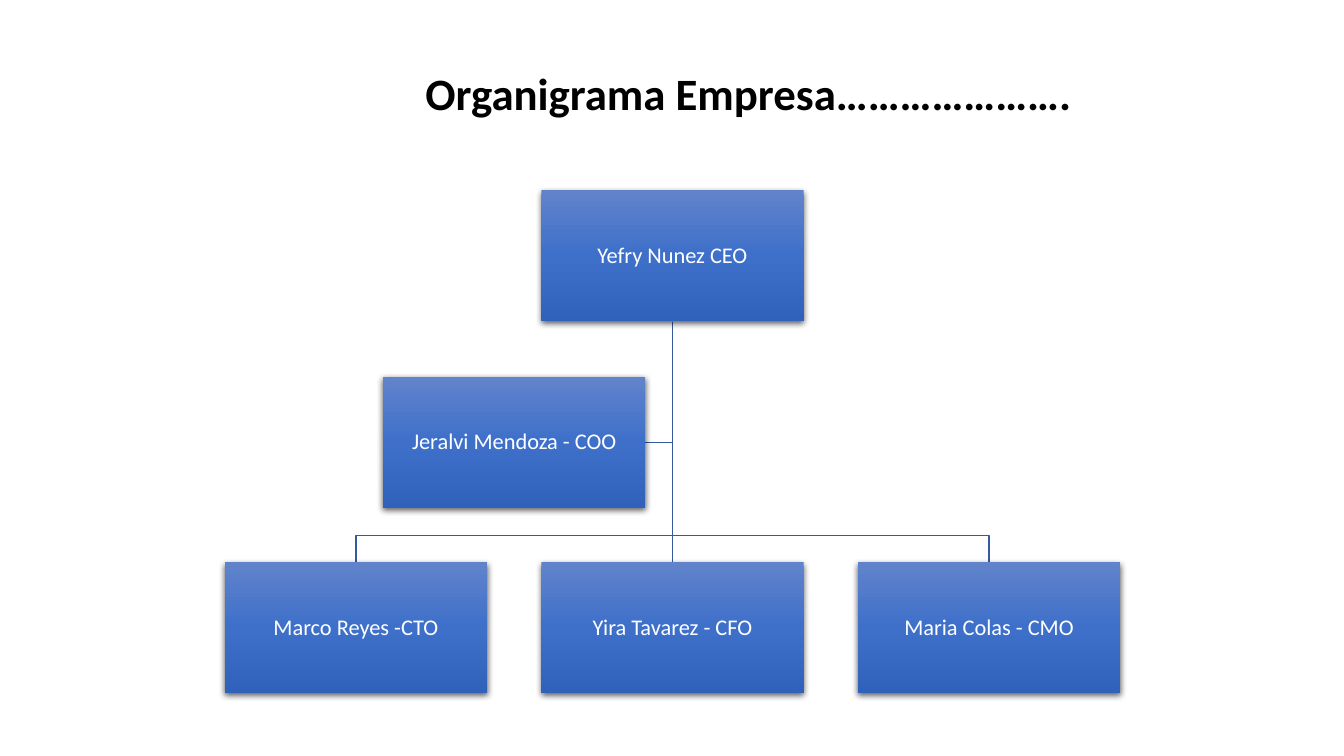
import copy

import pptx
import pptx.dml.color
import pptx.enum.shapes
import pptx.enum.text
import pptx.oxml
import pptx.oxml.ns
import pptx.util
from pptx.util import Inches

RGB = pptx.dml.color.RGBColor.from_string
THEME = {
    "font": "Calibri",
    "title_size": 32,
    "box_size": 16,
    "title": "000000",
    "box_text": "FFFFFF",
    "line": "365B9D",
    "gradient": [(0, "6183CB"), (0.5, "3E70CA"), (1, "3062BB")],
}
SHADOW = (
    f'<a:outerShdw {pptx.oxml.ns.nsdecls("a")} blurRad="57150" dist="19050" '
    'dir="5400000" algn="ctr" rotWithShape="0">'
    '<a:srgbClr val="000000"><a:alpha val="63000"/></a:srgbClr></a:outerShdw>'
)
BOX_W, BOX_H = 2.6, 1.3
GAP = 0.27
PITCH = 3.14
CENTER = 6.67
CEO_TOP, COO_TOP, TEAM_TOP = 1.89, 3.74, 5.58
CEO_BOTTOM = CEO_TOP + BOX_H
COO_MIDDLE = COO_TOP + BOX_H / 2
BUS = TEAM_TOP - GAP


def add_run(p, text, size, color, bold=False):
    r = p.add_run()
    r.text = text
    r.font.name = THEME["font"]
    r.font.size = pptx.util.Pt(size)
    r.font.bold = bold
    r.font.color.rgb = RGB(color)


def style_line(sp):
    sp.line.color.rgb = RGB(THEME["line"])
    sp.line.width = pptx.util.Pt(1)


prs = pptx.Presentation()
prs.slide_width = Inches(13.33)
prs.slide_height = Inches(7.5)
s = prs.slides.add_slide(prs.slide_layouts[6])

branches = [[(CENTER, COO_MIDDLE), (CENTER - GAP, COO_MIDDLE)]]
for x in (CENTER + PITCH, CENTER - PITCH):
    branches.append([(CENTER, BUS), (x, BUS), (x, TEAM_TOP)])
for points in branches:
    builder = s.shapes.build_freeform(Inches(CENTER), Inches(CEO_BOTTOM))
    builder.add_line_segments([(Inches(x), Inches(y)) for x, y in points], close=False)
    sp = builder.convert_to_shape()
    sp.shadow.inherit = False
    sp.fill.background()
    style_line(sp)

trunk = s.shapes.add_connector(
    pptx.enum.shapes.MSO_CONNECTOR.STRAIGHT,
    Inches(CENTER), Inches(CEO_BOTTOM), Inches(CENTER), Inches(TEAM_TOP),
)
style_line(trunk)
trunk._element.spPr.append(
    pptx.oxml.parse_xml(f'<a:effectLst {pptx.oxml.ns.nsdecls("a")}/>')
)

middle_left = CENTER - BOX_W / 2
people = [
    ("Yefry Nunez CEO", middle_left, CEO_TOP),
    ("Marco Reyes -CTO", middle_left - PITCH, TEAM_TOP),
    ("Yira Tavarez - CFO", middle_left, TEAM_TOP),
    ("Maria Colas - CMO", middle_left + PITCH, TEAM_TOP),
    ("Jeralvi Mendoza - COO", CENTER - GAP - BOX_W, COO_TOP),
]
boxes = {}
for name, left, top in people:
    sp = s.shapes.add_shape(
        pptx.enum.shapes.MSO_SHAPE.RECTANGLE,
        Inches(left), Inches(top), Inches(BOX_W), Inches(BOX_H),
    )
    boxes[name] = sp
    sp.line.fill.background()
    sp.fill.gradient()
    sp.fill.gradient_angle = 270
    spPr = sp._element.spPr
    stops = spPr.find(".//" + pptx.oxml.ns.qn("a:gsLst"))
    stops.insert(1, copy.deepcopy(stops[0]))
    for stop, (position, color) in zip(sp.fill.gradient_stops, THEME["gradient"]):
        stop.position = position
        stop.color.rgb = RGB(color)
    sp.shadow.inherit = False
    spPr.find(pptx.oxml.ns.qn("a:effectLst")).append(pptx.oxml.parse_xml(SHADOW))

    tf = sp.text_frame
    tf.word_wrap = True
    tf.vertical_anchor = pptx.enum.text.MSO_ANCHOR.MIDDLE
    tf.margin_left = tf.margin_right = tf.margin_top = tf.margin_bottom = Inches(0.01)
    p = tf.paragraphs[0]
    p.alignment = pptx.enum.text.PP_ALIGN.CENTER
    p.line_spacing = 0.9
    add_run(p, name, THEME["box_size"], THEME["box_text"])

trunk.begin_connect(boxes["Yefry Nunez CEO"], 2)
trunk.end_connect(boxes["Yira Tavarez - CFO"], 0)

title = s.shapes.add_textbox(Inches(4.12), Inches(0.6), Inches(6.66), Inches(0.64))
tf = title.text_frame
tf.word_wrap = False
tf.auto_size = pptx.enum.text.MSO_AUTO_SIZE.SHAPE_TO_FIT_TEXT
add_run(
    tf.paragraphs[0], "Organigrama Empresa………………….",
    THEME["title_size"], THEME["title"], bold=True,
)

prs.save("out.pptx")
